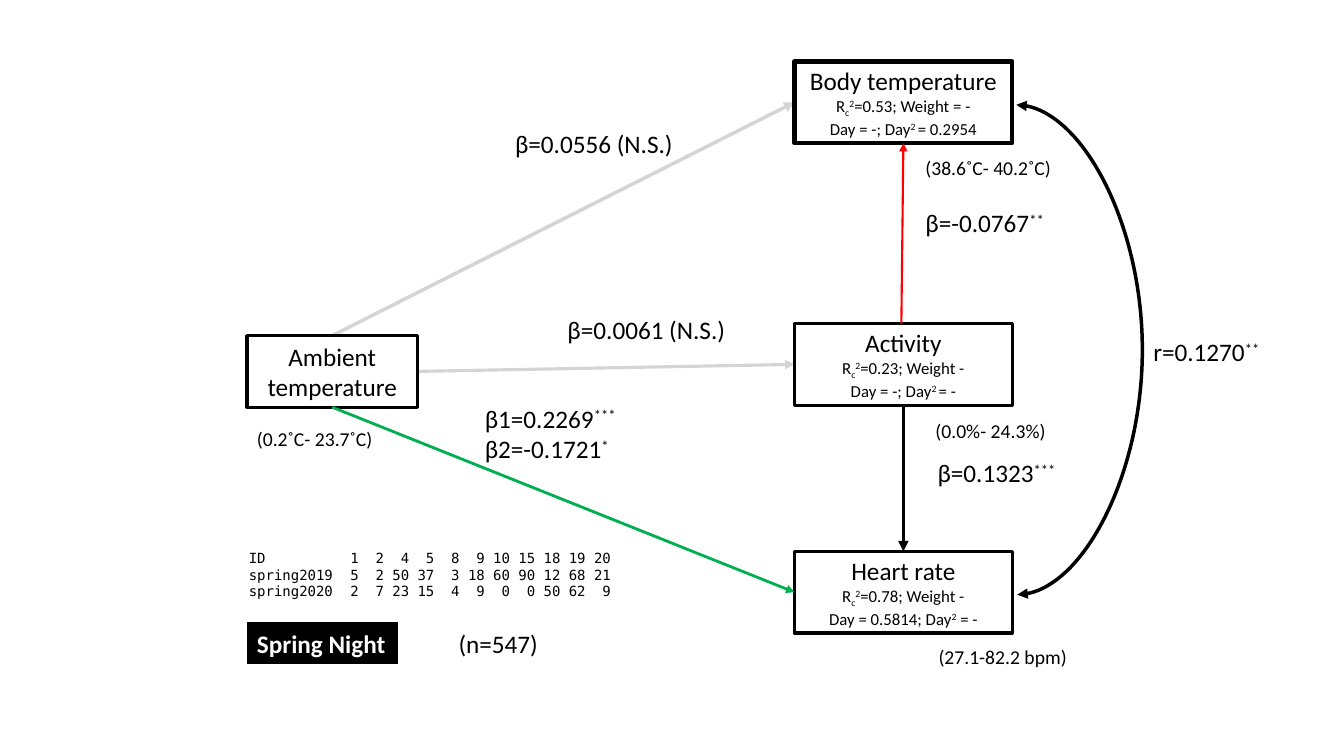
"""Path diagram of ambient temperature, activity, body temperature and heart rate."""
from dataclasses import dataclass

from lxml import etree
from pptx import Presentation
from pptx.dml.color import RGBColor
from pptx.enum import shapes, text
from pptx.oxml import ns
from pptx.util import Inches, Pt


@dataclass(frozen=True)
class Theme:
    """Colours, fonts and type sizes of the slide."""
    black: str = "000000"
    white: str = "FFFFFF"
    red: str = "FF0000"
    green: str = "00B050"
    font: str = "Calibri"
    mono: str = "DejaVu Sans Mono"
    main: int = 18
    range: int = 14
    detail: int = 12
    counts: int = 10


THEME = Theme()
BASELINES = {"^": "30000", "_": "-25000"}
SAMPLE_COUNTS = {
    "ID": [1, 2, 4, 5, 8, 9, 10, 15, 18, 19, 20],
    "spring2019": [5, 2, 50, 37, 3, 18, 60, 90, 12, 68, 21],
    "spring2020": [2, 7, 23, 15, 4, 9, 0, 0, 50, 62, 9],
}


def add_element(parent, tag, **attributes):
    """Append a DrawingML element with the given attributes."""
    values = {key: str(value) for key, value in attributes.items()}
    return etree.SubElement(parent, ns.qn(tag), values)


def write_text(frame, paragraphs, sizes=(THEME.main,), color=THEME.black, font=THEME.font,
               bold=False, align=text.PP_ALIGN.LEFT, wrap=False, tabs=()):
    """Fill a frame with lists of runs; ^ raises a run and _ lowers it."""
    frame.word_wrap = wrap
    frame.auto_size = text.MSO_AUTO_SIZE.SHAPE_TO_FIT_TEXT
    for index, runs in enumerate(paragraphs):
        paragraph = frame.paragraphs[0] if index == 0 else frame.add_paragraph()
        paragraph.alignment = align
        if tabs:
            tab_list = add_element(paragraph._p.get_or_add_pPr(), "a:tabLst")
            for stop in tabs:
                add_element(tab_list, "a:tab", pos=int(stop), algn="r")
        for content in runs:
            run = paragraph.add_run()
            baseline = BASELINES.get(content[0])
            run.text = content[1:] if baseline else content
            run.font.name = font
            run.font.size = Pt(sizes[min(index, len(sizes) - 1)])
            run.font.bold = bold
            run.font.color.rgb = RGBColor.from_string(color)
            if baseline:
                run._r.get_or_add_rPr().set("baseline", baseline)


def add_box(slide, left, top, width, height, paragraphs, line=2.25, fill=None, **text_format):
    """Add an outlined rectangle with text."""
    box = slide.shapes.add_shape(shapes.MSO_SHAPE.RECTANGLE, Inches(left), Inches(top),
                                 Inches(width), Inches(height))
    box.shadow.inherit = False
    if fill:
        box.fill.solid()
        box.fill.fore_color.rgb = RGBColor.from_string(fill)
    else:
        box.fill.background()
    box.line.color.rgb = RGBColor.from_string(THEME.black)
    box.line.width = Pt(line)
    write_text(box.text_frame, paragraphs, **text_format)
    return box


def add_variable(slide, top, name, fit, days, line=2.25):
    """Add a response variable with its model fit and day terms."""
    return add_box(slide, 7.88, top, 2.16, 0.81, [[name], ["R", "_c", "^2", fit], days],
                   line=line, sizes=(THEME.main, THEME.detail),
                   align=text.PP_ALIGN.CENTER, wrap=True)


def add_label(slide, left, top, width, height, paragraphs, **text_format):
    """Add a text box."""
    label = slide.shapes.add_textbox(Inches(left), Inches(top), Inches(width), Inches(height))
    write_text(label.text_frame, paragraphs, **text_format)


def add_arrow(slide, start, end, width, color=THEME.black, opacity=None,
              kind=shapes.MSO_CONNECTOR.STRAIGHT, heads=("a:tailEnd",)):
    """Add an arrow; each end is a point or a (box, side) pair."""
    ends = [(0, 0) if hasattr(place[0], "shape_id") else place for place in (start, end)]
    arrow = slide.shapes.add_connector(kind, *(Inches(value) for point in ends for value in point))
    if hasattr(start[0], "shape_id"):
        arrow.begin_connect(*start)
    if hasattr(end[0], "shape_id"):
        arrow.end_connect(*end)
    arrow.line.color.rgb = RGBColor.from_string(color)
    arrow.line.width = Pt(width)
    outline = arrow.line._get_or_add_ln()
    if opacity:
        add_element(outline.find(".//" + ns.qn("a:srgbClr")), "a:alpha", val=opacity * 1000)
    for head in heads:
        add_element(outline, head, type="triangle")
    add_element(arrow._element.spPr, "a:effectLst")
    return arrow


def add_correlation(slide, start, end, bulge):
    """Add a double-headed curve that reaches bulge inches to the right."""
    curve = add_arrow(slide, start, end, 2.5, kind=shapes.MSO_CONNECTOR.CURVE,
                      heads=("a:headEnd", "a:tailEnd"))
    geometry = curve._element.spPr.find(ns.qn("a:prstGeom"))
    for old in list(geometry):
        geometry.remove(old)
    ratio = round(bulge / (end[0] - start[0]) * 100000)
    add_element(add_element(geometry, "a:avLst"), "a:gd", name="adj1", fmla=f"val {ratio}")


def add_counts(slide):
    """Add the sample counts per animal, right-aligned in columns."""
    rows = [["\t".join(map(str, [name, *counts]))] for name, counts in SAMPLE_COUNTS.items()]
    stops = [Inches(1.09 + 0.25 * column) for column in range(len(SAMPLE_COUNTS["ID"]))]
    add_label(slide, 2.37, 5.4, 3.94, 0.61, rows, sizes=(THEME.counts,),
              font=THEME.mono, wrap=True, tabs=stops)


def main():
    """Build and save the slide."""
    deck = Presentation()
    deck.slide_width, deck.slide_height = Inches(13.33), Inches(7.5)
    slide = deck.slides.add_slide(deck.slide_layouts[6])

    ambient = add_box(slide, 2.45, 3.33, 1.69, 0.71, [["Ambient temperature"]],
                      align=text.PP_ALIGN.CENTER, wrap=True)
    activity = add_variable(slide, 3.21, "Activity", "=0.23; Weight -",
                            ["Day = -; Day", "^2 ", "= -"])
    heart = add_variable(slide, 5.47, "Heart rate", "=0.78; Weight -",
                         ["Day = 0.5814; Day", "^2", " = -"])
    body = add_variable(slide, 0.61, "Body temperature", "=0.53; Weight = -",
                        ["Day = -; Day", "^2 ", "= 0.2954"], line=3)

    add_arrow(slide, (ambient, 3), (activity, 1), 2.25, opacity=17)
    add_arrow(slide, (activity, 2), (heart, 0), 2.5)
    add_arrow(slide, (8.94, 3.21), (body, 2), 1.5, color=THEME.red)
    add_arrow(slide, (ambient, 0), (body, 1), 2.5, opacity=16)
    add_arrow(slide, (ambient, 2), (heart, 1), 2, color=THEME.green)
    add_correlation(slide, (10.08, 1.04), (10.09, 5.9), 1.27)

    for left, top, width, height, lines in [
        (9.2, 4.49, 1.42, 0.4, [["β=0.1323", "^***"]]),
        (5.53, 3.07, 1.78, 0.4, [["β=0.0061 (N.S.)"]]),
        (5.01, 1.22, 1.78, 0.4, [["β=0.0556 (N.S.)"]]),
        (4.71, 3.95, 1.55, 0.71, [["β1=0.2269", "^***"], ["β2=-0.1721", "^*"]]),
        (9.08, 2.01, 1.47, 0.4, [["β=-0.0767", "^**"]]),
        (11.34, 3.29, 1.29, 0.4, [["r=0.1270", "^**"]]),
        (4.45, 6.18, 1, 0.4, [["(n=547)"]]),
    ]:
        add_label(slide, left, top, width, height, lines)

    for left, top, width, observed in [
        (2.45, 4.19, 1.36, "(0.2˚C- 23.7˚C)"),
        (9.08, 1.5, 1.46, "(38.6˚C- 40.2˚C)"),
        (9.18, 4.11, 1.3, "(0.0%- 24.3%)"),
        (9.21, 6.35, 1.49, "(27.1-82.2 bpm)"),
    ]:
        add_label(slide, left, top, width, 0.34, [[observed]], sizes=(THEME.range,))

    add_box(slide, 2.45, 6.18, 1.49, 0.4, [["Spring Night"]], line=0.75,
            fill=THEME.black, color=THEME.white, bold=True)
    add_counts(slide)
    deck.save("out.pptx")


if __name__ == "__main__":
    main()
